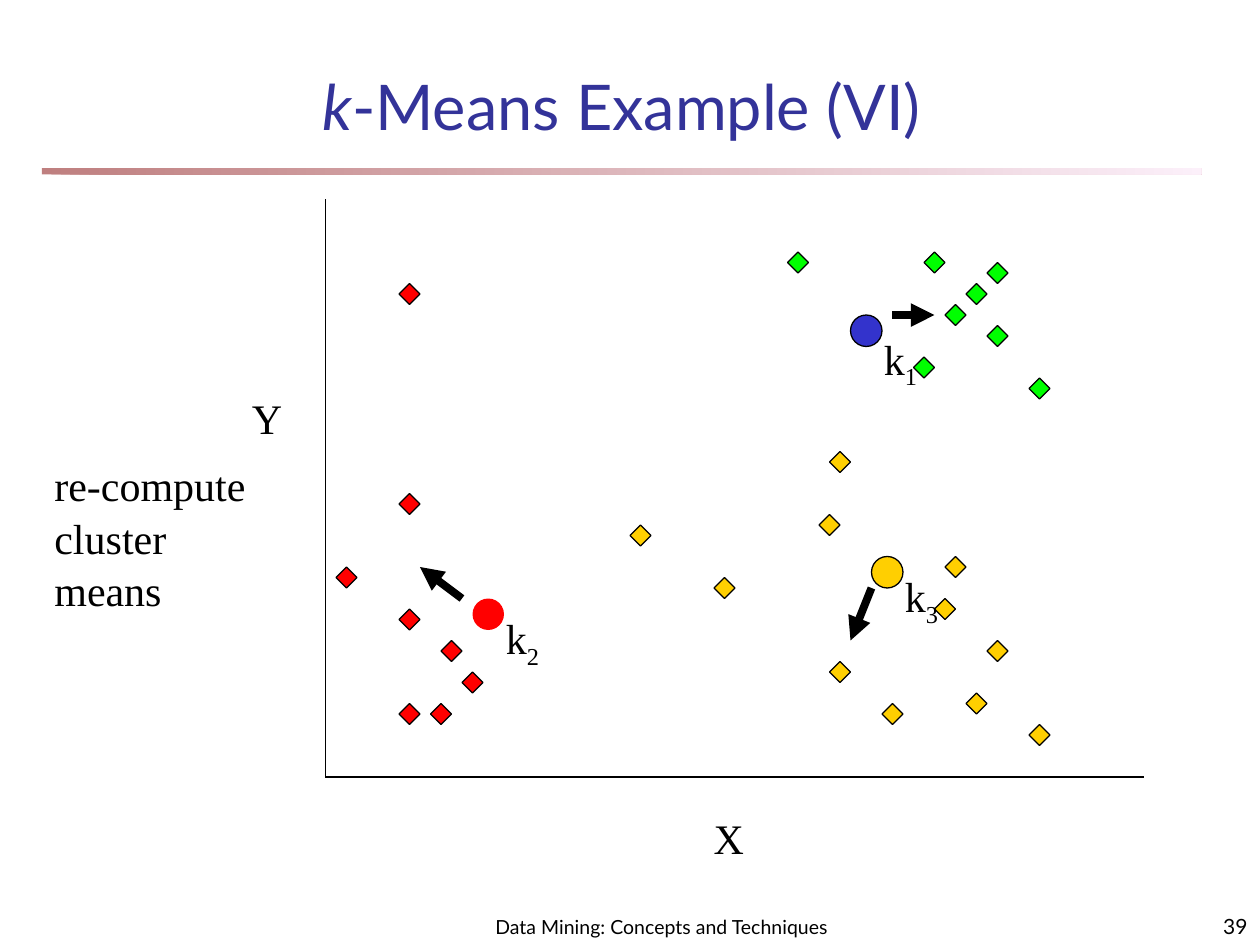
import pptx
import pptx.util
import pptx.dml.color
import pptx.enum.shapes
import pptx.enum.text
import pptx.oxml.ns
import lxml.etree
from dataclasses import dataclass

SHAPE = pptx.enum.shapes.MSO_SHAPE
ALIGN = pptx.enum.text.PP_ALIGN
ANCHOR = pptx.enum.text.MSO_ANCHOR
qn = pptx.oxml.ns.qn


@dataclass(frozen=True)
class Theme:
    black: str = "000000"
    title: str = "333399"
    red: str = "FF0000"
    green: str = "00FF00"
    gold: str = "FFCF01"
    blue: str = "3333CC"
    rule: tuple = ("800000", "FAE2F6")
    sans: str = "Lato"
    serif: str = "Times New Roman"
    head: float = 36
    body: float = 24
    foot: float = 11.1
    page: float = 12
    thin: float = 0.75
    thick: float = 4.5


def grid(n):
    return pptx.util.Cm(n * 2.54 / 12)


def color(code):
    return pptx.dml.color.RGBColor.from_string(code)


def write(para, text, font, size, tint="000000", slant=False, drop=0):
    run = para.add_run()
    run.text = text
    run.font.name = font
    run.font.size = pptx.util.Pt(size)
    run.font.color.rgb = color(tint)
    run.font.italic = slant
    if drop:
        run.font._element.set("baseline", str(drop * -1000))


class Page:
    def __init__(self, theme):
        self.theme = theme
        self.deck = pptx.Presentation()
        self.deck.slide_width = grid(120)
        self.deck.slide_height = grid(90)
        self.slide = self.deck.slides.add_slide(self.deck.slide_layouts[6])

    def text(self, box, align=ALIGN.LEFT, anchor=ANCHOR.TOP, wrap=True, space=None):
        frame = self.slide.shapes.add_textbox(*map(grid, box)).text_frame
        frame.word_wrap = wrap
        frame.vertical_anchor = anchor
        para = frame.paragraphs[0]
        para.alignment = align
        para.line_spacing = space
        return para

    def note(self, text, box, **style):
        para = self.text(box, space=1.04, **style)
        write(para, text, self.theme.serif, self.theme.body)
        return para

    def shape(self, kind, box, fill=None, edge=True):
        shape = self.slide.shapes.add_shape(kind, *map(grid, box))
        shape.shadow.inherit = False
        if fill:
            shape.fill.solid()
            shape.fill.fore_color.rgb = color(fill)
        if edge:
            shape.line.color.rgb = color(self.theme.black)
            shape.line.width = pptx.util.Pt(self.theme.thin)
        else:
            shape.line.fill.background()
        return shape

    def fade(self, box, tints):
        bar = self.shape(SHAPE.RECTANGLE, box, edge=False)
        bar.fill.gradient()
        bar.fill.gradient_angle = 0
        for stop, place, tint in zip(bar.fill.gradient_stops, (0, 1), tints):
            stop.position = place
            stop.color.rgb = color(tint)
        for node in bar._element.spPr.iter(qn("a:srgbClr")):
            lxml.etree.SubElement(node, qn("a:alpha")).set("val", "50000")

    def points(self, places, fill):
        for x, y in places:
            self.shape(SHAPE.DIAMOND, (x - 1, y - 1, 2, 2), fill)

    def line(self, ends, width, arrow=False):
        kind = pptx.enum.shapes.MSO_CONNECTOR.STRAIGHT
        line = self.slide.shapes.add_connector(kind, *map(grid, ends))
        line.line.color.rgb = color(self.theme.black)
        line.line.width = pptx.util.Pt(width)
        if arrow:
            tail = lxml.etree.SubElement(line.line._get_or_add_ln(), qn("a:tailEnd"))
            tail.set("type", "triangle")
        lxml.etree.SubElement(line._element.spPr, qn("a:effectLst"))

    def mean(self, digit, x, y, fill, edge=True, high=6):
        self.shape(SHAPE.OVAL, (x, y, 3, 3), fill, edge)
        para = self.note("k", (x + 2, y + 1, 7, high), anchor=ANCHOR.MIDDLE, wrap=False)
        write(para, digit, self.theme.serif, self.theme.body, drop=25)


def main():
    theme = Theme()
    page = Page(theme)

    page.fade((4, 16, 110.4, 0.6), theme.rule)
    foot = page.text((44, 85, 38, 5), ALIGN.CENTER, ANCHOR.BOTTOM)
    write(foot, "Data Mining: Concepts and Techniques", theme.sans, theme.foot)
    count = page.text((95, 85, 25, 5), ALIGN.RIGHT, ANCHOR.BOTTOM)
    write(count, "39", theme.sans, theme.page)
    title = page.text((5.2, 2.5, 108, 15.1), ALIGN.CENTER, ANCHOR.MIDDLE)
    write(title, "k", theme.sans, theme.head, theme.title, slant=True)
    write(title, "-Means Example (VI)", theme.sans, theme.head, theme.title)

    groups = {
        theme.red: [(43, 62), (45, 65), (42, 68), (39, 59), (39, 28),
                    (39, 48), (39, 68), (33, 55)],
        theme.green: [(89, 25), (95, 26), (93, 28), (91, 30), (95, 32),
                      (99, 37), (76, 25), (88, 35)],
        theme.gold: [(61, 51), (80, 44), (80, 64), (85, 68), (90, 58), (79, 50),
                     (69, 56), (95, 62), (93, 67), (91, 54), (99, 70)],
    }
    for fill, places in groups.items():
        page.points(places, fill)

    for ends in ((44, 57, 40, 54), (83, 56, 81, 61), (85, 30, 89, 30)):
        page.line(ends, theme.thick, arrow=True)
    for ends in ((31, 19, 31, 74), (31, 74, 109, 74)):
        page.line(ends, theme.thin)

    page.note("X", (66.8, 76.6, 5.3, 6), wrap=False)
    page.note("Y", (22.8, 36.6, 5.3, 6), wrap=False)
    page.note("re-compute cluster means", (4, 43, 24, 15.6))

    page.mean("1", 81, 30, theme.blue, high=6.7)
    page.mean("3", 83, 53, theme.gold)
    page.mean("2", 45, 57, theme.red, edge=False)

    page.deck.save("out.pptx")


if __name__ == "__main__":
    main()
